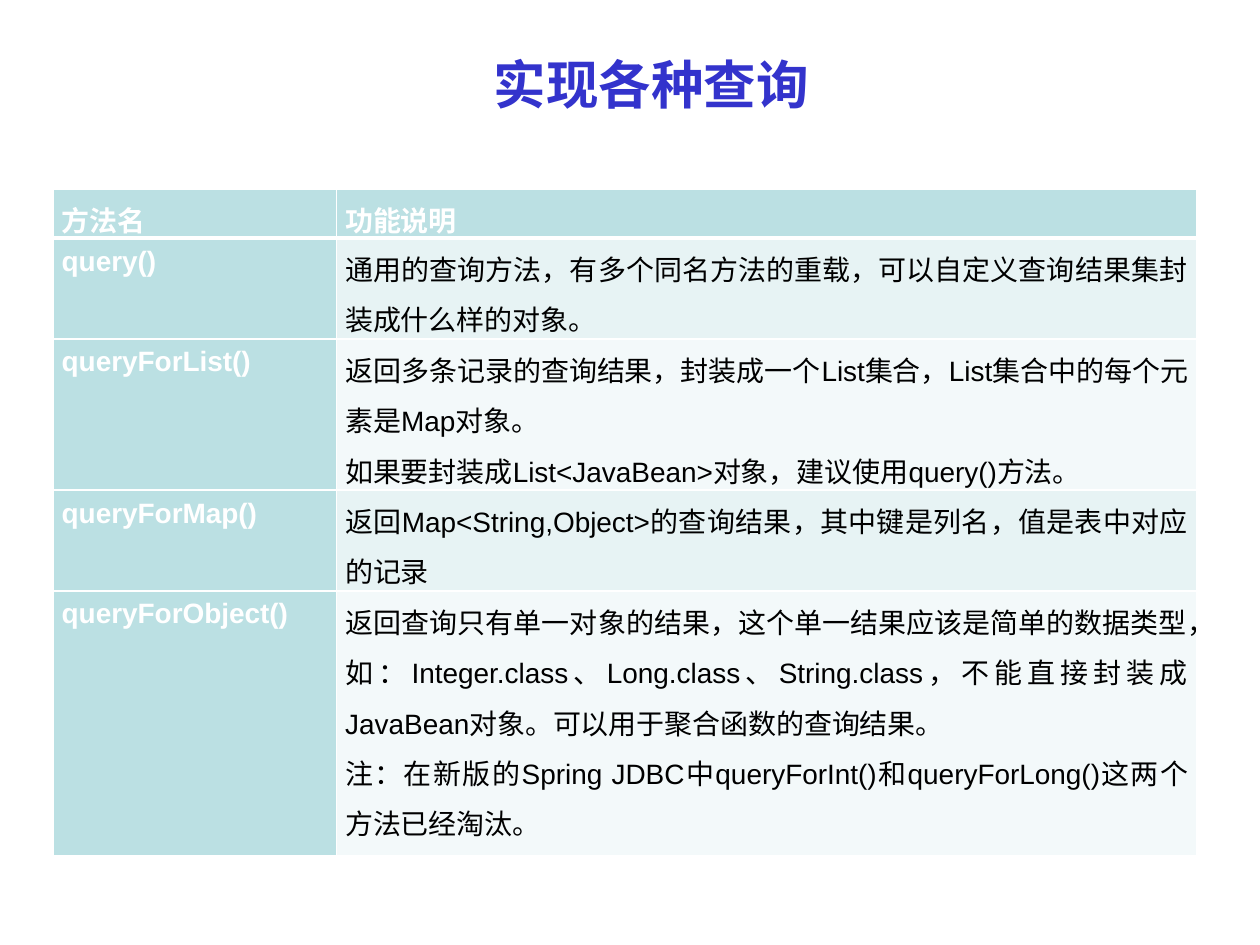
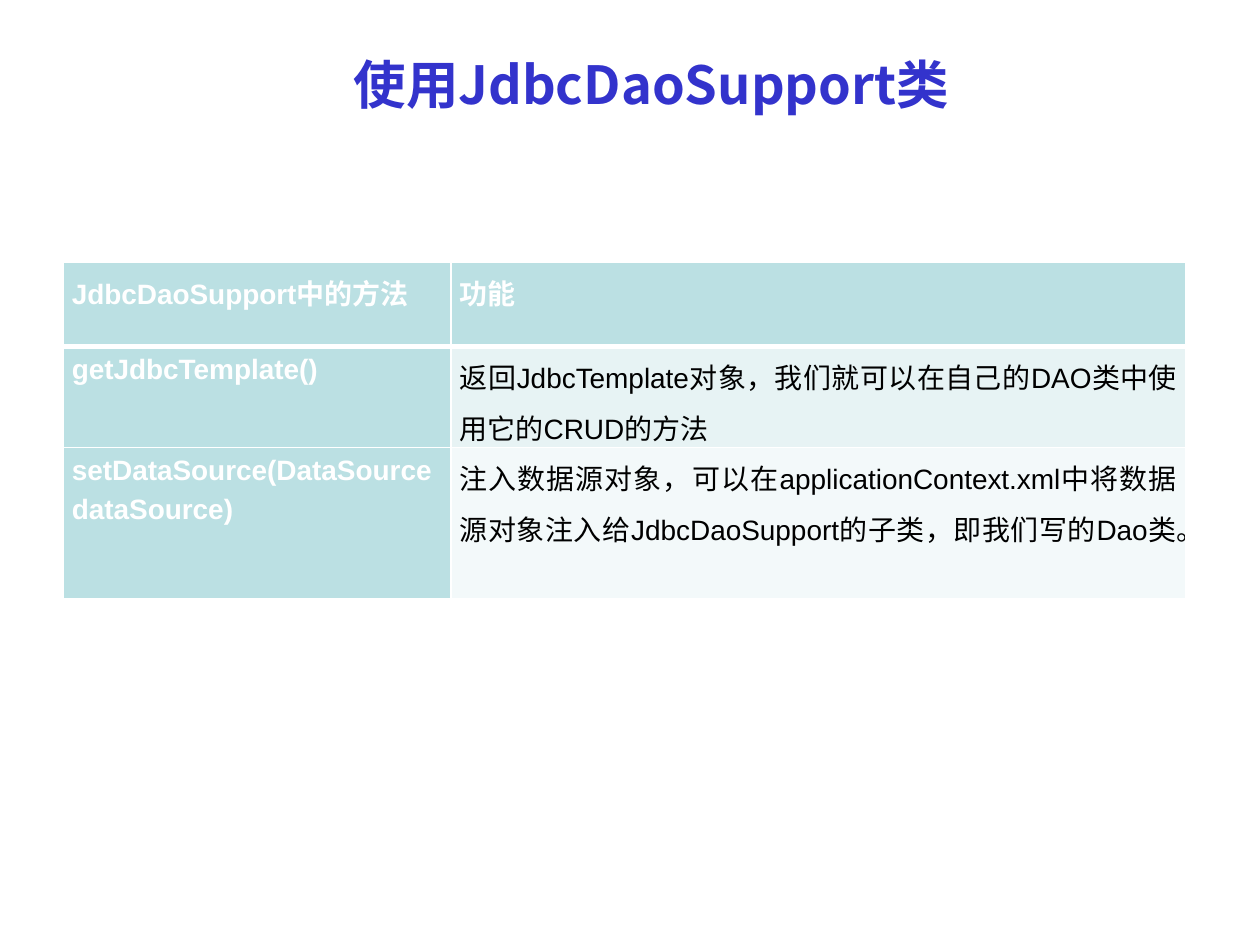
from pptx import Presentation
from pptx.dml.color import RGBColor
from pptx.enum import lang, text
from pptx.oxml.ns import qn
from pptx.util import Inches, Pt
from lxml import etree

BLUE = RGBColor(0x33, 0x33, 0xCC)
TEAL = RGBColor(0xBB, 0xE0, 0xE3)
BANDS = [RGBColor(0xE7, 0xF3, 0xF4), RGBColor(0xF3, 0xF9, 0xFA)]
WHITE = RGBColor(0xFF, 0xFF, 0xFF)
BLACK = RGBColor(0, 0, 0)
LATIN, HAN = "Arial", "Noto Sans CJK SC"

PAGES = [
    {"title": "实现各种查询", "at": (0.42, 1.5),
     "cols": [2.25, 6.83], "rows": [0.39, 0.8, 1.2, 0.8, 2.1],
     "cells": [
         ("方法名", "功能说明"),
         ("query()",
          "通用的查询方法，有多个同名方法的重载，可以自定义查询结果集封装成什么样的对象。"),
         ("queryForList()",
          "返回多条记录的查询结果，封装成一个List集合，List集合中的每个元素是Map对象。\n"
          "如果要封装成List<JavaBean>对象，建议使用query()方法。"),
         ("queryForMap()",
          "返回Map<String,Object>的查询结果，其中键是列名，值是表中对应的记录"),
         ("queryForObject()",
          "返回查询只有单一对象的结果，这个单一结果应该是简单的数据类型，"
          "如：Integer.class、Long.class、String.class，"
          "不能直接封装成JavaBean对象。可以用于聚合函数的查询结果。\n"
          "注：在新版的Spring JDBC中queryForInt()和queryForLong()这两个方法已经淘汰。"),
     ]},
    {"title": "使用JdbcDaoSupport类", "at": (0.5, 2.08),
     "cols": [3.08, 5.83], "rows": [0.67, 0.8, 1.2],
     "cells": [
         ("JdbcDaoSupport中的方法", "功能"),
         ("getJdbcTemplate()",
          "返回JdbcTemplate对象，我们就可以在自己的DAO类中使用它的CRUD的方法"),
         ("setDataSource(DataSource dataSource)",
          "注入数据源对象，可以在applicationContext.xml中将数据源对象注入给"
          "JdbcDaoSupport的子类，即我们写的Dao类。"),
     ]},
]


def style(para, size, color, bold, latin):
    for run in para.runs:
        font = run.font
        font.size, font.bold, font.name = Pt(size), bold, latin
        font.color.rgb = color
        font.language_id = lang.MSO_LANGUAGE_ID.SIMPLIFIED_CHINESE
        etree.SubElement(font._element, qn("a:ea"), typeface=HAN)


def border(cell, row):
    """White cell edges, with a thick rule between header and body."""
    props = cell._tc.get_or_add_tcPr()
    thick = {0: "lnB", 1: "lnT"}.get(row)
    for spot, side in enumerate(("lnL", "lnR", "lnT", "lnB")):
        line = etree.Element(qn("a:" + side), w=str(Pt(3 if side == thick else 1)))
        fill = etree.SubElement(line, qn("a:solidFill"))
        etree.SubElement(fill, qn("a:srgbClr"), val=str(WHITE))
        props.insert(spot, line)


deck = Presentation()
deck.slide_width, deck.slide_height = Inches(10), Inches(7.5)

for page in PAGES:
    slide = deck.slides.add_slide(deck.slide_layouts[6])
    box = slide.shapes.add_textbox(Inches(0.67), Inches(0.23), Inches(9), Inches(0.87))
    frame = box.text_frame
    frame.word_wrap = True
    frame.vertical_anchor = text.MSO_ANCHOR.MIDDLE
    frame.text = page["title"]
    frame.paragraphs[0].alignment = text.PP_ALIGN.CENTER
    style(frame.paragraphs[0], 30, BLUE, True, HAN)

    cols, rows = page["cols"], page["rows"]
    left, top = page["at"]
    grid = slide.shapes.add_table(len(rows), len(cols), Inches(left), Inches(top),
                                  Inches(sum(cols)), Inches(sum(rows))).table
    for col, width in zip(grid.columns, cols):
        col.width = Inches(width)
    for row, height in zip(grid.rows, rows):
        row.height = Inches(height)

    for r, words in enumerate(page["cells"]):
        for c, word in enumerate(words):
            cell = grid.cell(r, c)
            head = r == 0 or c == 0
            cell.fill.solid()
            cell.fill.fore_color.rgb = TEAL if head else BANDS[(r - 1) % 2]
            border(cell, r)
            cell.margin_left = cell.margin_right = Inches(0.07)
            cell.margin_top = cell.margin_bottom = 0
            cell.text_frame.text = word
            for para in cell.text_frame.paragraphs:
                para.alignment = text.PP_ALIGN.JUSTIFY
                para.line_spacing = 1.25
                style(para, 16, WHITE if head else BLACK, head, LATIN)

deck.save("out.pptx")
